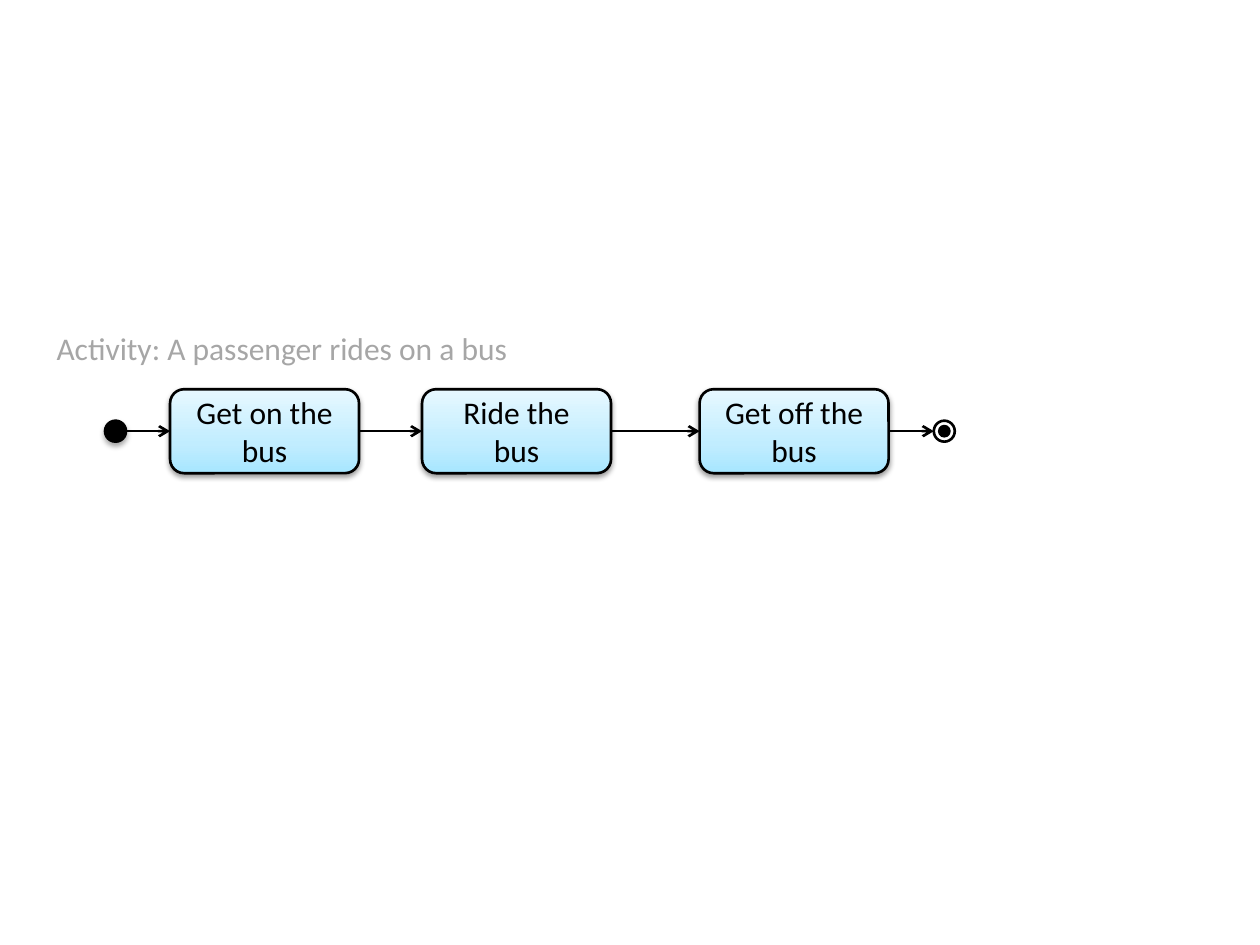
from dataclasses import dataclass

from lxml.etree import SubElement
from pptx import Presentation
from pptx.dml.color import RGBColor as Color
from pptx.enum.shapes import MSO_CONNECTOR as Connector, MSO_SHAPE as Preset
from pptx.enum.text import MSO_ANCHOR as Anchor, MSO_AUTO_SIZE as AutoSize, PP_ALIGN as Align
from pptx.oxml.ns import qn
from pptx.util import Pt


@dataclass(frozen=True)
class Theme:
    font: str = "Calibri"
    text_size: float = 18
    line_width: float = 1.5
    ink: str = "000000"
    paper: str = "FFFFFF"
    caption: str = "A6A6A6"
    # Gradient stops from bottom to top: percent, colour
    action_fill: tuple = ((0, "A7E6FF"), (35, "C1EDFF"), (100, "E7F8FF"))


class ActivityDiagram:
    def __init__(self, slide, theme):
        self.slide = slide
        self.theme = theme

    def set_text(self, frame, text, color, align):
        paragraph = frame.paragraphs[0]
        paragraph.text = text
        paragraph.alignment = align
        paragraph.font.name = self.theme.font
        paragraph.font.size = Pt(self.theme.text_size)
        paragraph.font.color.rgb = Color.from_string(color)

    def outline(self, shape):
        shape.line.color.rgb = Color.from_string(self.theme.ink)
        shape.line.width = Pt(self.theme.line_width)

    def drop_shadow(self, shape, distance, opacity):
        effects = shape._element.spPr.find(qn("a:effectLst"))
        shadow = SubElement(effects, qn("a:outerShdw"), blurRad=str(Pt(3.1)),
                            dist=str(Pt(distance)), dir="5400000", rotWithShape="0")
        color = SubElement(shadow, qn("a:srgbClr"), val=self.theme.ink)
        SubElement(color, qn("a:alpha"), val=str(opacity * 1000))

    def caption(self, text, left, top, width, height):
        box = self.slide.shapes.add_textbox(Pt(left), Pt(top), Pt(width), Pt(height))
        box.text_frame.word_wrap = False
        box.text_frame.auto_size = AutoSize.SHAPE_TO_FIT_TEXT
        self.set_text(box.text_frame, text, self.theme.caption, Align.LEFT)

    def action(self, text, left, middle, width, height):
        shape = self.slide.shapes.add_shape(
            Preset.ROUNDED_RECTANGLE, Pt(left), Pt(middle - height / 2), Pt(width), Pt(height))
        shape.shadow.inherit = False
        shape.fill.gradient()
        shape.fill.gradient_angle = 90
        stops = shape._element.spPr.find(qn("a:gradFill")).find(qn("a:gsLst"))
        stops.clear()
        for percent, color in self.theme.action_fill:
            stop = SubElement(stops, qn("a:gs"), pos=str(percent * 1000))
            SubElement(stop, qn("a:srgbClr"), val=color)
        self.outline(shape)
        self.drop_shadow(shape, distance=1.6, opacity=38)
        shape.text_frame.word_wrap = True
        shape.text_frame.vertical_anchor = Anchor.MIDDLE
        self.set_text(shape.text_frame, text, self.theme.ink, Align.CENTER)

    def disc(self, shapes, center, middle, size, color):
        shape = shapes.add_shape(Preset.OVAL, Pt(center - size / 2), Pt(middle - size / 2),
                                 Pt(size), Pt(size))
        shape.shadow.inherit = False
        shape.fill.solid()
        shape.fill.fore_color.rgb = Color.from_string(color)
        self.outline(shape)
        return shape

    def start_node(self, center, middle, size):
        node = self.disc(self.slide.shapes, center, middle, size, self.theme.ink)
        self.drop_shadow(node, distance=1.8, opacity=35)

    def end_node(self, center, middle, size, core):
        group = self.slide.shapes.add_group_shape()
        self.disc(group.shapes, center, middle, size, self.theme.paper)
        self.disc(group.shapes, center, middle, core, self.theme.ink)

    def flow(self, start, end, middle):
        line = self.slide.shapes.add_connector(
            Connector.STRAIGHT, Pt(start), Pt(middle), Pt(end), Pt(middle))
        self.outline(line)
        properties = line._element.spPr
        SubElement(properties.find(qn("a:ln")), qn("a:tailEnd"), type="arrow")
        SubElement(properties, qn("a:effectLst"))


def main():
    presentation = Presentation()
    presentation.slide_width, presentation.slide_height = Pt(720), Pt(540)
    slide = presentation.slides.add_slide(presentation.slide_layouts[6])
    diagram = ActivityDiagram(slide, Theme())

    middle = 246.4
    action_width, action_height = 108, 48
    node_size, core_size = 12, 5.8
    start_center, end_center = 66, 539.6
    actions = (("Get on the bus", 97.2), ("Ride the bus", 241.2), ("Get off the bus", 399.8))

    # Actions
    for text, left in actions:
        diagram.action(text, left, middle, action_width, action_height)

    # Start and end of the activity
    diagram.start_node(start_center, middle, node_size)
    diagram.end_node(end_center, middle, node_size, core_size)

    # Caption
    diagram.caption("Activity: A passenger rides on a bus", 25.2, 184.5, 275, 29)

    # Flows from the right edge of each step to the left edge of the next
    lefts = [left for _, left in actions]
    starts = [start_center + node_size / 2] + [left + action_width for left in lefts]
    ends = lefts + [end_center - node_size / 2]
    for start, end in zip(starts, ends):
        diagram.flow(start, end, middle)

    presentation.save("out.pptx")


if __name__ == "__main__":
    main()
